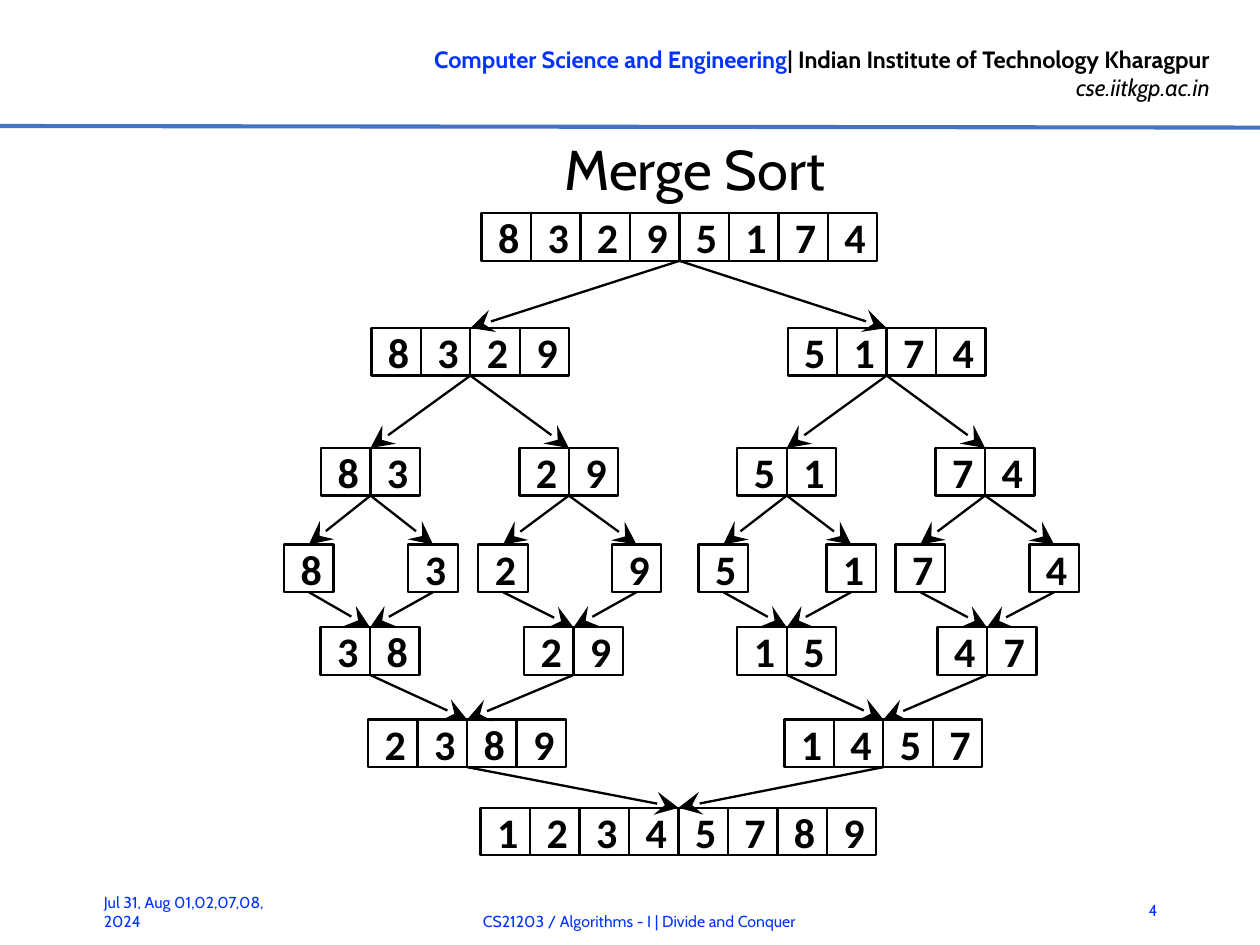
from lxml.etree import SubElement
from pptx import Presentation
from pptx.dml.color import RGBColor
from pptx.enum.shapes import MSO_CONNECTOR, MSO_SHAPE
from pptx.enum.text import MSO_ANCHOR, PP_ALIGN
from pptx.oxml.ns import qn
from pptx.util import Pt

COLORS = {"ink": "000000", "link": "0432FF", "rule": "4472C4"}
CELL_WIDTH, CELL_HEIGHT = 21.2, 20.4

# Each level: top edge, then (digits, horizontal centre) of every array.
SPLIT_LEVELS = [
    (91.4, [("83295174", 291.2)]),
    (140.6, [("8329", 201.6), ("5174", 380)]),
    (192, [("83", 158.8), ("29", 243.8), ("51", 337.2), ("74", 422.2)]),
    (233.4, [("8", 132.4), ("3", 185.6), ("2", 215.6), ("9", 272.8),
             ("5", 310), ("1", 364.8), ("7", 394.4), ("4", 451.8)]),
]
MERGE_LEVELS = [
    (268.9, [("38", 158.6), ("29", 245.8), ("15", 337.2), ("47", 423)]),
    (308.4, [("2389", 200.2), ("1457", 378.6)]),
    (346.2, [("12345789", 290.8)]),
]


def color(name):
    return RGBColor.from_string(COLORS[name])


def style(font, size, name, shade="ink", bold=False):
    font.size, font.name, font.bold = Pt(size), name, bold
    font.color.rgb = color(shade)


def add_text(page, box, text, size, shade="ink", align=PP_ALIGN.LEFT, insets=None):
    """Add a middle-anchored, wrapping text box of one paragraph."""
    frame = page.shapes.add_textbox(*map(Pt, box)).text_frame
    frame.word_wrap = True
    frame.vertical_anchor = MSO_ANCHOR.MIDDLE
    if insets is not None:
        frame.margin_left = frame.margin_right = Pt(insets)
        frame.margin_top = frame.margin_bottom = Pt(insets)
    para = frame.paragraphs[0]
    para.text, para.alignment = text, align
    style(para.font, size, "Cabin", shade)


def add_line(page, start, end, shade="ink", width=1, arrow=False):
    line = page.shapes.add_connector(
        MSO_CONNECTOR.STRAIGHT, *map(Pt, (*start, *end)))
    line.line.color.rgb = color(shade)
    line.line.width = Pt(width)
    properties = line._element.spPr
    if arrow:
        SubElement(properties.find(qn("a:ln")), qn("a:tailEnd"),
                   type="stealth", w="lg", len="lg")
    SubElement(properties, qn("a:effectLst"))


def add_header(page, box):
    left, top, width, height = box
    frame = page.shapes.add_textbox(*map(Pt, (left + 137.5, top + 15.8, 388.1, 31.7))).text_frame
    frame.word_wrap = True
    institute, site = frame.paragraphs[0], frame.add_paragraph()
    for text, shade in (("Computer Science and Engineering", "link"),
                        ("| Indian Institute of Technology Kharagpur", "ink")):
        span = institute.add_run()
        span.text = text
        span.font.color.rgb = color(shade)
    institute.font.size, institute.font.name, institute.font.bold = Pt(10.1), "Cabin", True
    site.text = "cse.iitkgp.ac.in"
    style(site.font, 10.1, "Cabin")
    site.font.italic = True
    for para in (institute, site):
        para.alignment = PP_ALIGN.RIGHT
    add_line(page, (left, top + height - 0.7), (left + width, top + height), "rule", 1.75)


def add_array(page, digits, center, top):
    """Draw a row of bordered cells, centred on the given position."""
    left = center - len(digits) * CELL_WIDTH / 2
    for index, digit in enumerate(digits):
        cell = page.shapes.add_shape(
            MSO_SHAPE.RECTANGLE, Pt(left + index * CELL_WIDTH), Pt(top),
            Pt(CELL_WIDTH), Pt(CELL_HEIGHT))
        cell.shadow.inherit = False
        cell.fill.background()
        cell.line.color.rgb = color("ink")
        cell.line.width = Pt(1)
        cell.text_frame.vertical_anchor = MSO_ANCHOR.MIDDLE
        para = cell.text_frame.paragraphs[0]
        para.text, para.alignment = digit, PP_ALIGN.CENTER
        style(para.font, 18, "Calibri", bold=True)


def add_sort_tree(page, box):
    """Draw the arrays, then the arrows that halve or join them."""
    left, top = box[:2]
    levels = SPLIT_LEVELS + MERGE_LEVELS
    for level_top, arrays in levels:
        for digits, center in arrays:
            add_array(page, digits, left + center, top + level_top)
    for (upper_top, upper), (lower_top, lower) in zip(levels, levels[1:]):
        for index in range(max(len(upper), len(lower))):
            source = upper[index * len(upper) // max(len(upper), len(lower))]
            target = lower[index * len(lower) // max(len(upper), len(lower))]
            add_line(page, (left + source[1], top + upper_top + CELL_HEIGHT),
                     (left + target[1], top + lower_top), arrow=True)


def add_footer(page, box):
    left, top = box[:2]
    for place, text, align in (
        ((37.4, 0.4, 94.3, 21.6), "Jul 31, Aug 01,02,07,08, 2024", PP_ALIGN.LEFT),
        ((113.8, 4.3, 320.4, 21.6), "CS21203 / Algorithms - I | Divide and Conquer",
         PP_ALIGN.CENTER),
        ((476.6, 0, 26.6, 21.6), "4", PP_ALIGN.RIGHT),
    ):
        add_text(page, (left + place[0], top + place[1], *place[2:]), text, 6.8, "link", align)


def main():
    deck = Presentation()
    deck.slide_width, deck.slide_height = Pt(540), Pt(405)
    page = deck.slides.add_slide(deck.slide_layouts[6])
    add_header(page, (0, 0, 540, 54.7))
    add_text(page, (78.5, 57.2, 438.5, 29.5), "Merge Sort", 24,
             align=PP_ALIGN.CENTER, insets=0)
    add_sort_tree(page, (0, 0, 540, 370))
    add_footer(page, (0, 379.5, 540, 25.5))
    deck.save("out.pptx")


if __name__ == "__main__":
    main()
